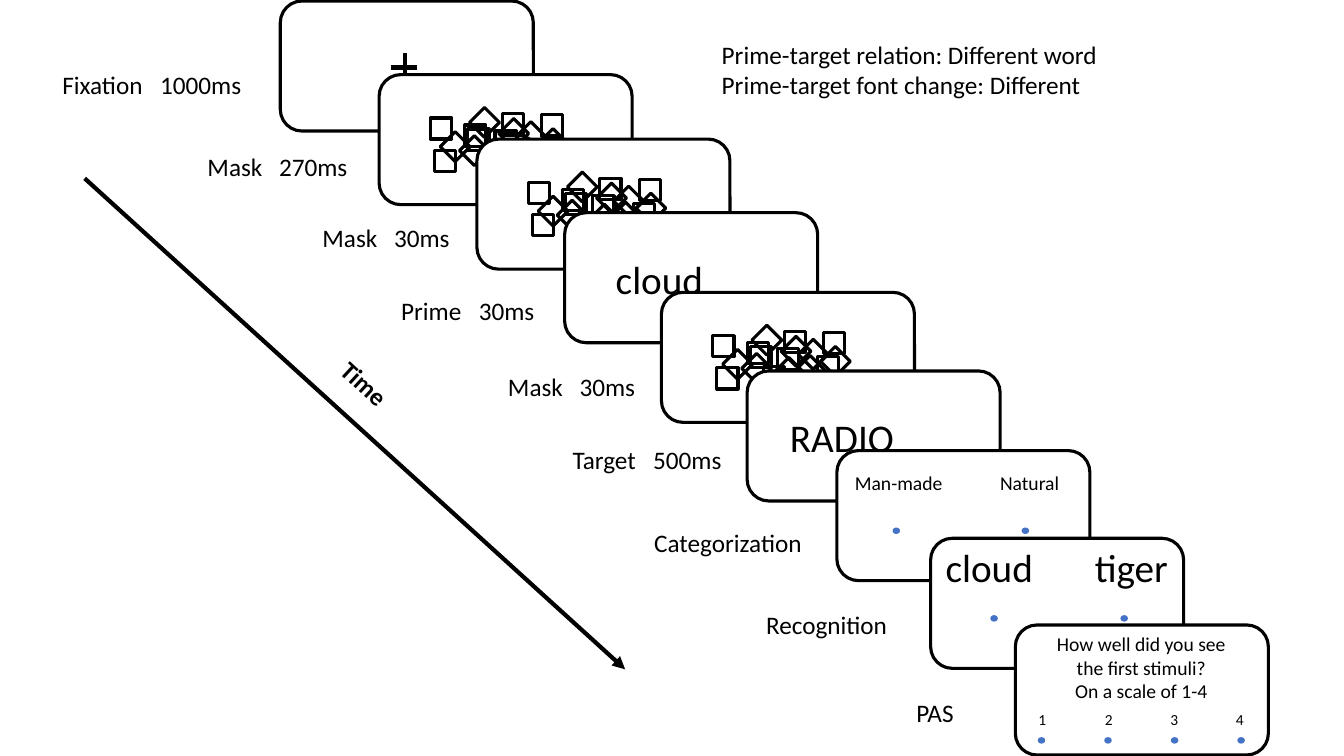
from pptx import Presentation
from pptx.dml.color import RGBColor
from pptx.enum.shapes import MSO_CONNECTOR as Connector, MSO_SHAPE as Shape
from pptx.enum.text import PP_ALIGN as Align
from pptx.oxml.ns import qn
from pptx.util import Inches, Pt
from lxml.etree import SubElement

BLACK = RGBColor(0, 0, 0)
WHITE = RGBColor(255, 255, 255)
BLUE = RGBColor(0x44, 0x72, 0xC4)

deck = Presentation()
deck.slide_width, deck.slide_height = Inches(13.33), Inches(7.5)
page = deck.slides.add_slide(deck.slide_layouts[6])


def add_outline(shapes, kind, left, top, width, height, fill=None,
                line=BLACK, weight=2.25, rotation=0):
    shape = shapes.add_shape(kind, Inches(left), Inches(top), Inches(width), Inches(height))
    shape.shadow.inherit = False
    if fill is None:
        shape.fill.background()
    else:
        shape.fill.solid()
        shape.fill.fore_color.rgb = fill
    shape.line.color.rgb = line
    shape.line.width = Pt(weight)
    shape.rotation = rotation


def add_text(shapes, lines, left, top, width, height, size=18, bold=False,
             align=Align.LEFT, tabs=(), rotation=0):
    box = shapes.add_textbox(Inches(left), Inches(top), Inches(width), Inches(height))
    box.rotation = rotation
    frame = box.text_frame
    frame.word_wrap = True
    for index, line in enumerate(lines):
        para = frame.add_paragraph() if index else frame.paragraphs[0]
        para.alignment = align
        if tabs:
            stops = SubElement(para._p.get_or_add_pPr(), qn("a:tabLst"))
            for stop in tabs:
                SubElement(stops, qn("a:tab"), pos=str(Inches(stop)), algn="l")
        span = para.add_run()
        span.text = line
        span.font.name = "Calibri"
        span.font.size = Pt(size)
        span.font.bold = bold
        span.font.color.rgb = BLACK


# Mask pattern, measured from the corner of its card
MASK_SQUARES = [(0.51, 0.43), (0.88, 0.54), (1.22, 0.39), (1.15, 0.56), (1.55, 0.64),
                (1.61, 0.40), (0.55, 0.75), (0.85, 0.50), (1.01, 0.74)]
MASK_DIAMONDS = [(0.94, 0.37), (1.40, 0.51), (0.65, 0.61), (1.16, 0.69),
                 (1.62, 0.58), (0.84, 0.65), (1.23, 0.48), (1.37, 0.67)]

# Cards from back to front: name, left, top, number of mask squares
CARDS = [("fixation", 2.78, 0.01, 0), ("first mask", 3.76, 0.74, 8),
         ("second mask", 4.73, 1.38, 9), ("cloud", 5.60, 2.11, 0),
         ("third mask", 6.56, 2.90, 9), ("RADIO", 7.41, 3.68, 0),
         ("categorization", 8.30, 4.47, 0), ("recognition", 9.23, 5.34, 0),
         ("rating", 10.07, 6.20, 0)]

lines = []
for name, left, top, square_count in CARDS:
    card = page.shapes.add_group_shape().shapes
    add_outline(card, Shape.ROUNDED_RECTANGLE, left, top, 2.51, 1.29, fill=WHITE)
    dots = []
    if square_count:
        marks = [(x, y, 0) for x, y in MASK_SQUARES[:square_count]]
        marks += [(x, y, 45) for x, y in MASK_DIAMONDS]
        for x, y, turn in marks:
            add_outline(card, Shape.RECTANGLE, left + x, top + y, 0.21, 0.21, rotation=turn)
    elif name == "fixation":
        for x1, y1, x2, y2 in [(4.02, 0.53, 4.02, 0.8), (4.14, 0.67, 3.88, 0.67)]:
            lines.append(card.add_connector(Connector.STRAIGHT, Inches(x1), Inches(y1),
                                            Inches(x2), Inches(y2)))
    elif name in ("cloud", "RADIO"):
        add_text(card, [name], left + 0.17, top + 0.37, 1.54, 0.57, size=28,
                 align=Align.CENTER)
    elif name == "categorization":
        add_text(card, ["Man-made\tNatural"], left + 0.08, top + 0.15, 2.4, 0.34,
                 size=14, tabs=[1.44])
        dots = [(0.56, 0.77), (1.84, 0.77)]
    elif name == "recognition":
        add_text(card, ["cloud\ttiger"], left + 0.05, top, 2.46, 0.57, size=28, tabs=[1.48])
        dots = [(0.6, 0.77), (1.89, 0.77)]
    else:
        add_text(card, ["How well did you see the first stimuli?", "On a scale of 1-4"],
                 left + 0.17, top + 0.02, 2.16, 0.81, size=14, align=Align.CENTER)
        add_text(card, ["1\t2\t3\t4"], left + 0.13, top + 0.8, 2.38, 0.29, size=11,
                 tabs=[0.66, 1.31, 1.96])
        dots = [(0.23 + 0.66 * step, 1.12) for step in range(4)]
    for x, y in dots:
        add_outline(card, Shape.OVAL, left + x, top + y, 0.06, 0.05, fill=BLUE,
                    line=BLUE, weight=1)

# Time arrow
timeline = page.shapes.add_group_shape().shapes
arrow = timeline.add_connector(Connector.STRAIGHT, Inches(0.84), Inches(1.77),
                               Inches(6.2), Inches(6.64))
lines.append(arrow)
add_text(timeline, ["Time"], 3.08, 3.93, 1.72, 0.53, bold=True, rotation=42.8)

# Line format
for line in lines:
    line.line.color.rgb = BLACK
    line.line.width = Pt(3)
    SubElement(line._element.spPr, qn("a:effectLst"))
SubElement(arrow.line._get_or_add_ln(), qn("a:tailEnd"), type="triangle")

# Stage labels: text, left, top, width, start of the duration
LABELS = [("Fixation\t1000ms", 0.52, 0.64, 2.21, 0.97),
          ("Mask\t270ms", 1.96, 1.45, 1.84, 0.71),
          ("Mask\t30ms", 3.10, 2.16, 1.63, 0.71),
          ("Prime\t30ms", 3.88, 2.88, 1.71, 0.77),
          ("Mask\t30ms", 4.94, 3.63, 1.66, 0.71),
          ("Target\t500ms", 5.58, 4.36, 1.79, 0.80),
          ("Categorization", 6.39, 5.18, 1.72, None),
          ("Recognition", 7.50, 6.00, 1.72, None),
          ("PAS", 8.99, 6.87, 0.76, None)]
for label, left, top, width, stop in LABELS:
    add_text(page.shapes, [label], left, top, width, 0.4, tabs=[stop] if stop else ())

# Trial condition
add_text(page.shapes, ["Prime-target relation: Different word",
                       "Prime-target font change: Different"], 7.06, 0.34, 4.95, 0.71)

deck.save("out.pptx")
